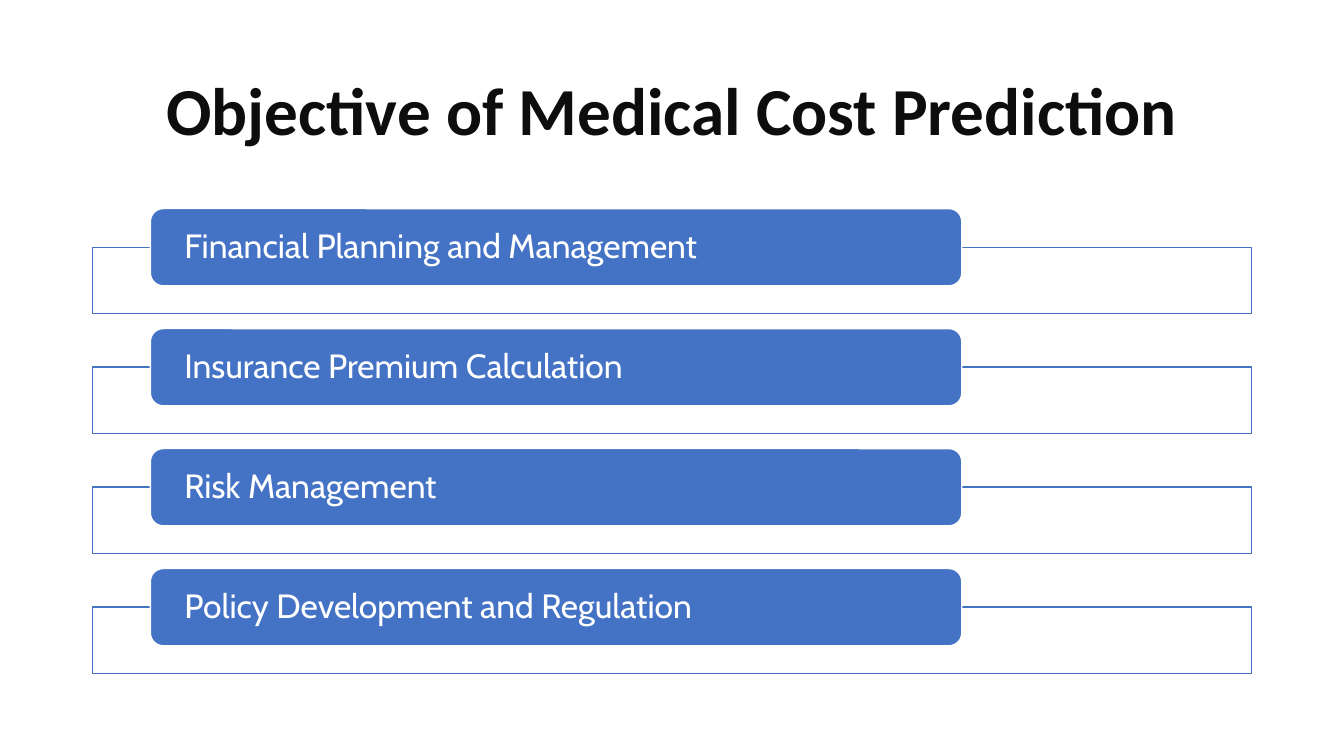
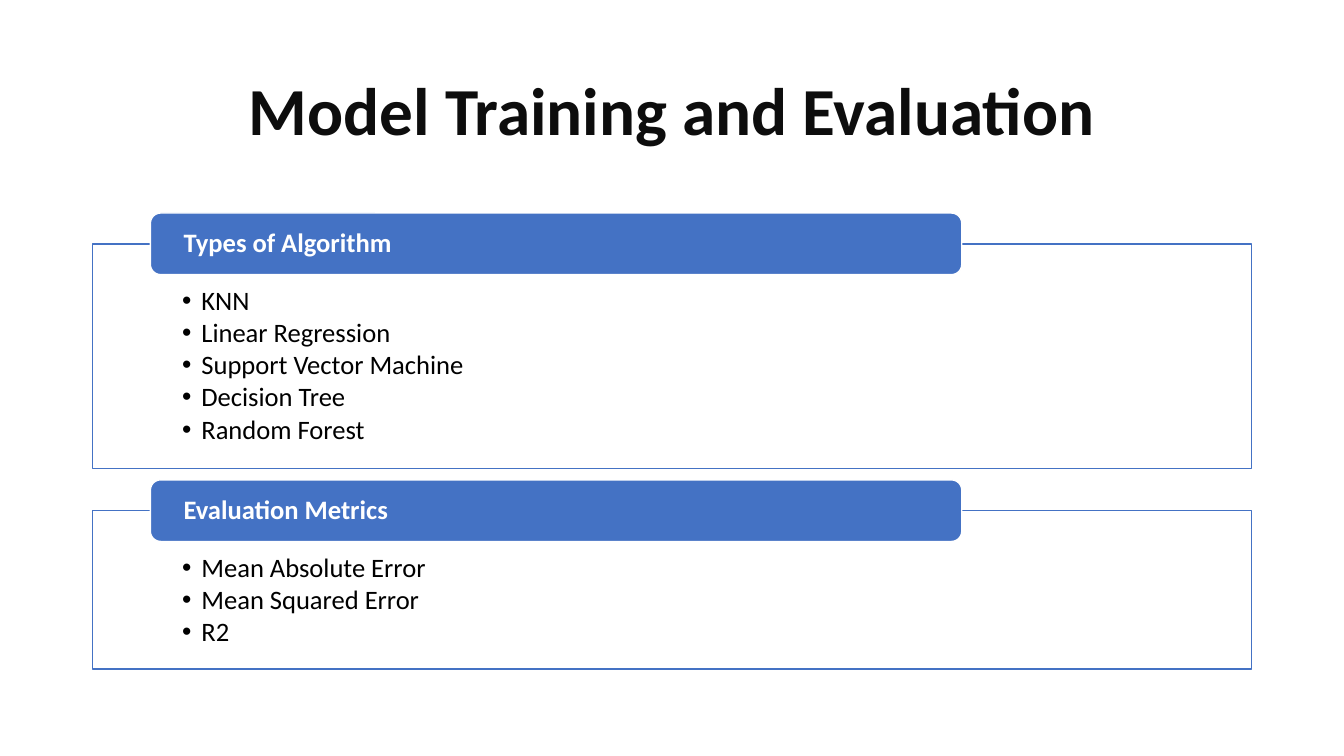
from pptx import Presentation
from pptx.dml.color import RGBColor as Rgb
from pptx.enum.shapes import MSO_SHAPE as Kind
from pptx.enum.text import MSO_ANCHOR as Anchor, MSO_AUTO_SIZE as Fit, PP_ALIGN as Align
from pptx.oxml.ns import qn
from pptx.util import Pt
from lxml.etree import SubElement as Sub

HUES = {"ink": "0D0D0D", "blue": "4472C4", "white": "FFFFFF", "black": "000000"}
LEFT, WIDE = 66, 828
BAR_X, BAR_W = 107.4, 579.6

GOALS = [
    "Financial Planning and Management",
    "Insurance Premium Calculation",
    "Risk Management",
    "Policy Development and Regulation",
]
MODELS = ["KNN", "Linear Regression", "Support Vector Machine", "Decision Tree", "Random Forest"]
SCORES = ["Mean Absolute Error", "Mean Squared Error", "R2"]


def hue(name):
    """Return the named colour."""
    return Rgb.from_string(HUES[name])


def dot(para, indent=13.7):
    """Give a paragraph a hanging bullet."""
    props = para._p.get_or_add_pPr()
    props.set("marL", str(Pt(indent)))
    props.set("indent", str(-Pt(indent)))
    Sub(props, qn("a:buFont")).set("typeface", "Arial")
    Sub(props, qn("a:buChar")).set("char", "•")


def write(shape, lines, size, color, font="Calibri", bold=False, align=Align.LEFT,
          anchor=Anchor.MIDDLE, pad=(7.2, 3.6, 7.2, 3.6), after=0, dots=False):
    """Fill a shape with formatted lines of text."""
    frame = shape.text_frame
    frame.word_wrap = True
    frame.auto_size = Fit.NONE
    frame.vertical_anchor = anchor
    frame.margin_left, frame.margin_top, frame.margin_right, frame.margin_bottom = map(Pt, pad)
    frame.text = "\n".join(lines)
    for para in frame.paragraphs:
        para.alignment = align
        para.line_spacing = 0.9
        para.space_before, para.space_after = Pt(0), Pt(after)
        if dots:
            dot(para)
        face = para.runs[0].font
        face.name, face.size, face.bold = font, Pt(size), bold
        face.color.rgb = hue(color)


def box(slide, kind, x, y, w, h, fill, line):
    """Add a filled and outlined shape."""
    shape = slide.shapes.add_shape(kind, Pt(x), Pt(y), Pt(w), Pt(h))
    shape.shadow.inherit = False
    shape.fill.solid()
    shape.fill.fore_color.rgb = hue(fill)
    shape.line.color.rgb = hue(line)
    shape.line.width = Pt(1)
    return shape


def page(deck, title):
    """Add a slide with a centred title."""
    slide = deck.slides.add_slide(deck.slide_layouts[5])
    head = slide.shapes.title
    head.left, head.top, head.width, head.height = map(Pt, (LEFT, 28.8, WIDE, 104.4))
    write(head, [title], 48, "ink", bold=True, align=Align.CENTER)
    return slide


def panel(slide, top, bar_h, body_h, label, items=(), **style):
    """Add a framed body with a label bar on its top edge and return its bottom."""
    mid = top + bar_h / 2
    body = box(slide, Kind.RECTANGLE, LEFT, mid, WIDE, body_h, "white", "blue")
    if items:
        write(body, items, 19, "black", anchor=Anchor.TOP,
              pad=(64.2, 31, 64.2, 10.8), after=2.5, dots=True)
    bar = box(slide, Kind.ROUNDED_RECTANGLE, BAR_X, top, BAR_W, bar_h, "blue", "white")
    write(bar, [label], color="white", pad=(21.6, 0, 21.6, 0), **style)
    return mid + body_h


def main():
    """Build and save the deck."""
    deck = Presentation()
    deck.slide_width, deck.slide_height = Pt(960), Pt(540)

    slide = page(deck, "Objective of Medical Cost Prediction")
    top = 149
    for goal in GOALS:
        top = panel(slide, top, 55.2, 47.5, goal, size=24, font="Cabin") + 10.6

    slide = page(deck, "Model Training and Evaluation")
    top = 152.2
    for label, items, tall in (("Types of Algorithm", MODELS, 160.4),
                               ("Evaluation Metrics", SCORES, 113.2)):
        top = panel(slide, top, 44, tall, label, items, size=19, bold=True) + 8.2

    deck.save("out.pptx")


if __name__ == "__main__":
    main()
